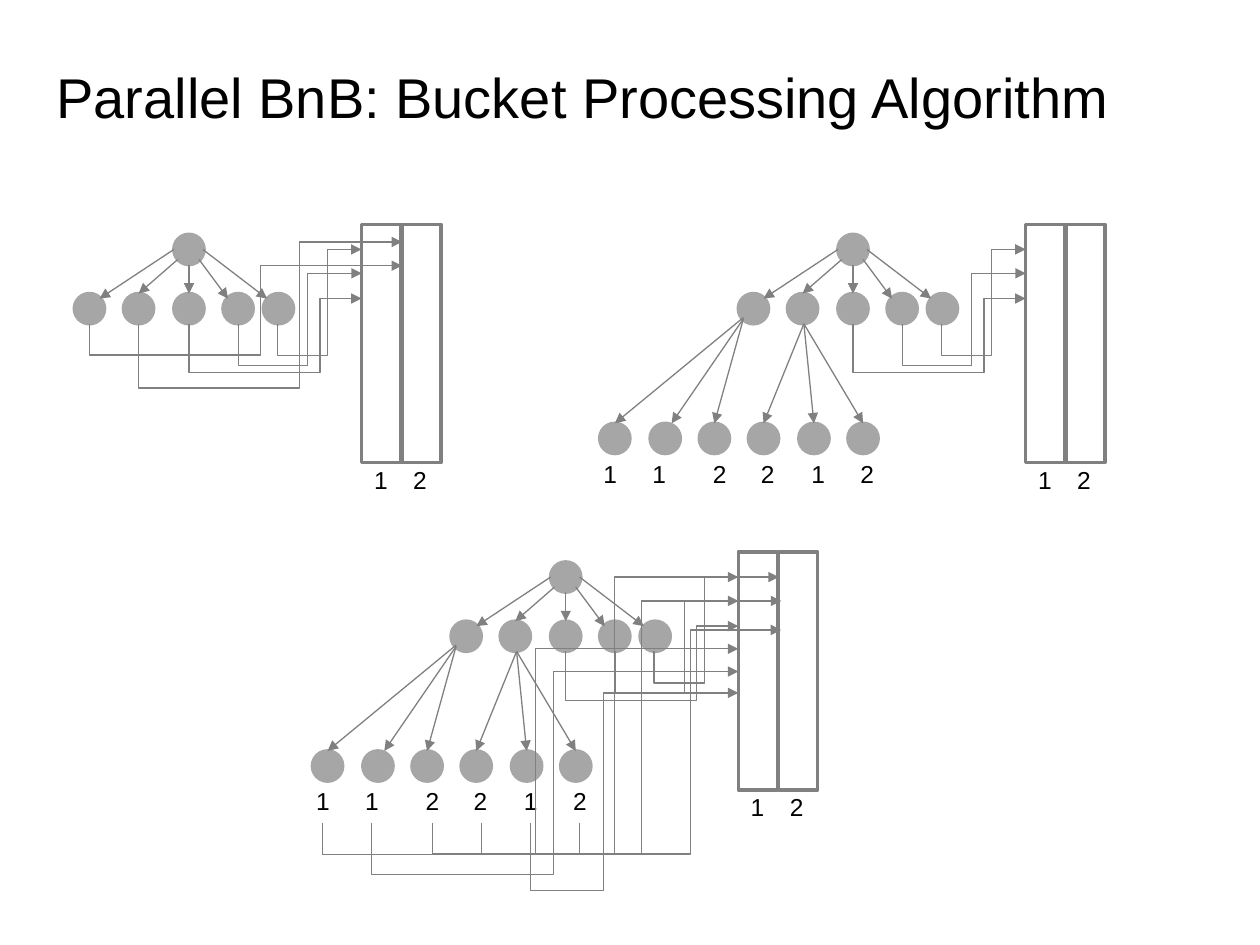
from lxml import etree
from pptx import Presentation
from pptx.dml.color import RGBColor
from pptx.enum.shapes import MSO_CONNECTOR, MSO_SHAPE
from pptx.enum.text import MSO_ANCHOR, MSO_AUTO_SIZE
from pptx.oxml.ns import qn
from pptx.util import Emu, Pt

STRAIGHT, ELBOW = MSO_CONNECTOR.STRAIGHT, MSO_CONNECTOR.ELBOW
OVAL, RECTANGLE = MSO_SHAPE.OVAL, MSO_SHAPE.RECTANGLE
MIDDLE, GROW = MSO_ANCHOR.MIDDLE, MSO_AUTO_SIZE.SHAPE_TO_FIT_TEXT

PX = 9144  # EMU per px, 100 px to the inch
FONT = "Arial"
COLORS = {"node": "A6A6A6", "edge": "808080", "bucket": "FFFFFF", "text": "000000"}

# Everything below is measured from the top left corner of a tree's root node
NODE = 24
CHILDREN_X, CHILDREN_Y = (-79, -40, 0, 39, 71), 47
LEAVES_X, LEAVES_Y = (-189, -149, -110, -71, -31, 8), 150
LEAF_LABELS = ((-196, "1"), (-157, "1"), (-109, "2"), (-71, "2"), (-31, "1"), (8, "2"))
LEAF_LABELS_Y = 173
BUCKETS_X, BUCKET_Y, BUCKET_W, BUCKET_H = (149, 181), -8, 31, 189
BUCKET_LABELS = ((149, "1"), (180, "2"))
BUCKET_LABELS_Y = 178

CHILD_EDGES = (
    (0, 12, -59, 51), (3, 20, -28, 47), (12, 24, 12, 47),
    (20, 20, 43, 51), (23, 12, 74, 51),
)
LEAF_EDGES = (
    (-75, 66, -177, 150), (-75, 67, -132, 150), (-75, 67, -98, 150),
    (-27, 71, -59, 150), (-27, 71, -19, 150), (-27, 71, 28 - 8, 150),
)

# Routes into the buckets: start x, start y, end x, end y, lowest y, turning x
SHARED_ROUTES = (
    (82, 71, 149, 12, 96, 122), (51, 71, 149, 31, 104, 106), (12, 71, 149, 51, 110, 116),
)
FIRST_ROUTES = ((-28, 71, 181, 6, 122, 100), (-67, 71, 181, 25, 96, 69))
LEAF_ROUTES = (
    (-181, 207, 149, 69, 232, -12), (-142, 207, 149, 87, 248, 2),
    (-16, 207, 149, 104, 261, 42), (-94, 207, 181, 12, 232, 51),
    (-55, 207, 183, 31, 232, 72), (23, 207, 183, 54, 232, 111),
)

# Root position, whether the leaves are shown, further routes
STAGES = (
    (138, 186, False, FIRST_ROUTES),
    (665, 186, True, ()),
    (437, 446, True, LEAF_ROUTES),
)


def px(*lengths):
    return [Emu(round(length * PX)) for length in lengths]


def rgb(name):
    return RGBColor.from_string(COLORS[name])


def add_box(slide, preset, x, y, w, h, fill, line):
    box = slide.shapes.add_shape(preset, *px(x, y, w, h))
    box.shadow.inherit = False
    box.fill.solid()
    box.fill.fore_color.rgb = rgb(fill)
    box.line.color.rgb = rgb(line)
    box.line.width = Pt(2)


def add_node(slide, x, y):
    add_box(slide, OVAL, x, y, NODE, NODE, "node", "node")


def add_text(slide, text, x, y, w, h, size):
    textbox = slide.shapes.add_textbox(*px(x, y, w, h))
    paragraph = textbox.text_frame.paragraphs[0]
    paragraph.text = text
    paragraph.font.name = FONT
    paragraph.font.size = Pt(size)
    paragraph.font.color.rgb = rgb("text")
    return textbox.text_frame


def add_label(slide, text, x, y):
    frame = add_text(slide, text, x, y, 31, 34, 14)
    frame.word_wrap = False
    frame.auto_size = GROW


def add_arrow(slide, kind, x1, y1, x2, y2):
    arrow = slide.shapes.add_connector(kind, *px(x1, y1, x2, y2))
    arrow.line.color.rgb = rgb("edge")
    arrow.line.width = Pt(0.75)
    etree.SubElement(arrow.line._get_or_add_ln(), qn("a:tailEnd"), type="triangle")
    etree.SubElement(arrow._element.spPr, qn("a:effectLst"))
    return arrow


def add_route(slide, x1, y1, x2, y2, lowest_y, turn_x):
    """Elbow arrow that runs down, right, up and right again."""
    run, rise = x2 - x1, y1 - y2
    center_x, center_y = (x1 + x2) / 2, (y1 + y2) / 2
    # The unrotated frame has the rise as its width; a quarter turn stands it up
    route = add_arrow(slide, ELBOW, center_x + rise / 2, center_y + run / 2,
                      center_x - rise / 2, center_y - run / 2)
    properties = route._element.spPr
    properties.find(qn("a:xfrm")).set("rot", "5400000")
    geometry = properties.find(qn("a:prstGeom"))
    geometry.set("prst", "bentConnector4")
    guides = geometry.find(qn("a:avLst"))
    if guides is None:
        guides = etree.SubElement(geometry, qn("a:avLst"))
    ratios = ((y1 - lowest_y) / rise, (turn_x - x1) / run)
    for number, ratio in enumerate(ratios, start=1):
        etree.SubElement(guides, qn("a:gd"), name=f"adj{number}",
                         fmla=f"val {round(ratio * 100000)}")


def shift(points, x, y):
    """Move alternating x and y values by the root position."""
    return [value + (y if i % 2 else x) for i, value in enumerate(points)]


def add_routes(slide, routes, x, y):
    for *ends, lowest_y, turn_x in routes:
        add_route(slide, *shift(ends, x, y), y + lowest_y, x + turn_x)


def add_level(slide, nodes_x, nodes_y, edges, x, y):
    for node_x in nodes_x:
        add_node(slide, x + node_x, y + nodes_y)
    for edge in edges:
        add_arrow(slide, STRAIGHT, *shift(edge, x, y))


def add_labels(slide, labels, labels_y, x, y):
    for label_x, text in labels:
        add_label(slide, text, x + label_x, y + labels_y)


def add_stage(slide, x, y, has_leaves, routes):
    # Tree
    add_node(slide, x, y)
    add_level(slide, CHILDREN_X, CHILDREN_Y, CHILD_EDGES, x, y)
    # Buckets
    for bucket_x in BUCKETS_X:
        add_box(slide, RECTANGLE, x + bucket_x, y + BUCKET_Y,
                BUCKET_W, BUCKET_H, "bucket", "edge")
    add_routes(slide, SHARED_ROUTES, x, y)
    add_labels(slide, BUCKET_LABELS, BUCKET_LABELS_Y, x, y)
    # Leaves with their bucket numbers
    if has_leaves:
        add_level(slide, LEAVES_X, LEAVES_Y, LEAF_EDGES, x, y)
        add_labels(slide, LEAF_LABELS, LEAF_LABELS_Y, x, y)
    add_routes(slide, routes, x, y)


def main():
    deck = Presentation()
    deck.slide_width, deck.slide_height = px(1000, 750)
    slide = deck.slides.add_slide(deck.slide_layouts[6])

    # Title
    title = add_text(slide, "Parallel BnB: Bucket Processing Algorithm", 35, 35, 900, 83, 32)
    title.word_wrap = True
    title.vertical_anchor = MIDDLE

    # Three stages of the search
    for stage in STAGES:
        add_stage(slide, *stage)

    deck.save("out.pptx")


if __name__ == "__main__":
    main()
